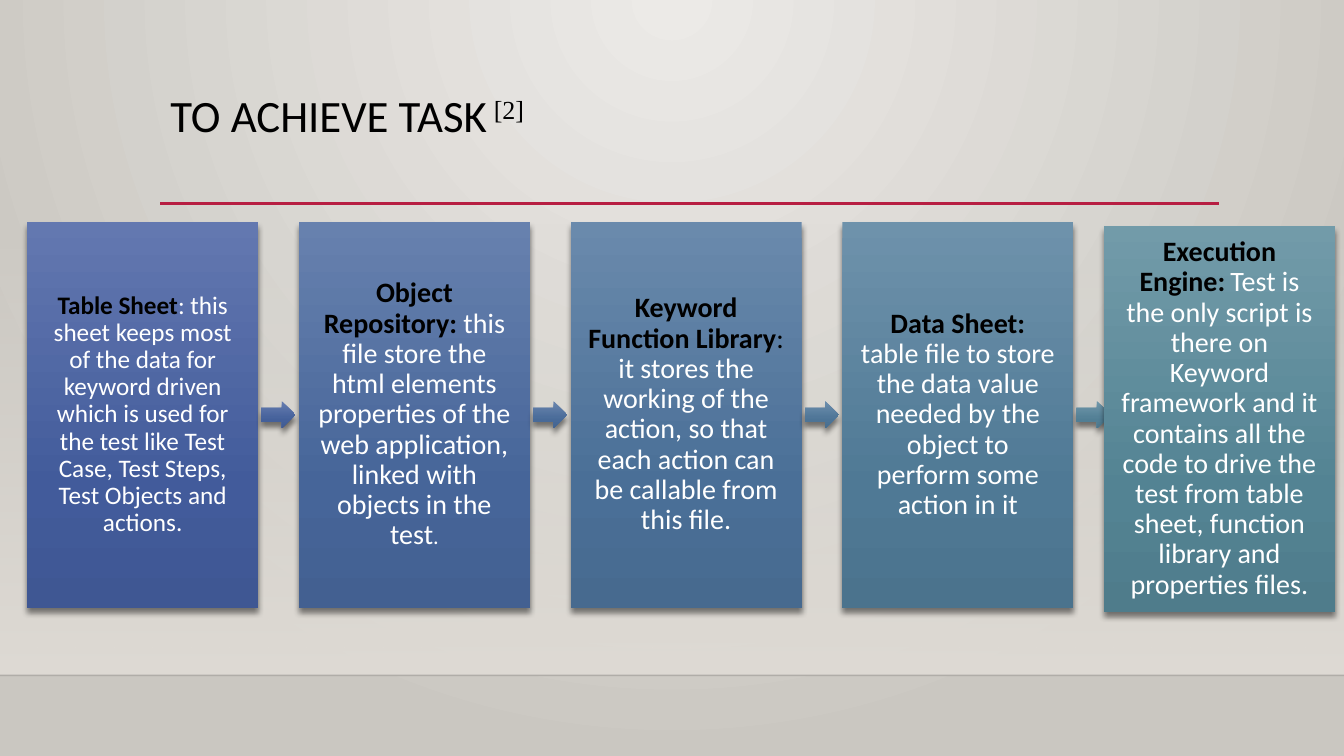
from dataclasses import dataclass

from lxml.etree import SubElement
from pptx import Presentation
from pptx.dml.color import RGBColor
from pptx.enum.shapes import MSO_CONNECTOR, MSO_SHAPE
from pptx.enum.text import MSO_ANCHOR, PP_ALIGN
from pptx.oxml.ns import qn
from pptx.util import Inches, Pt


@dataclass(frozen=True)
class Theme:
    """Colours, fonts and type sizes of the slide."""
    font: str = "Calibri"
    reference_font: str = "Times New Roman"
    title_size: int = 32
    body_size: int = 20
    compact_size: int = 18
    small_size: int = 16
    dark: str = "000000"
    light: str = "FFFFFF"
    accent: str = "B71E42"
    backdrop: tuple = ("ECEAE7", "CAC7C1")
    panel: str = "DFDBD5"
    first_card: tuple = ("6378B0", "425B9B", "3F5793")
    last_card: tuple = ("729BA9", "538393", "4F7C8B")
    card_stops: tuple = (0, 69, 100)


THEME = Theme()
WIDTH, HEIGHT = 13.33, 7.5
FLOOR = 6.7
CARD_WIDTH, CARD_HEIGHT = 2.29, 3.83
ARROW_WIDTH, ARROW_HEIGHT = 0.34, 0.27
PITCH, ARROW_OFFSET = 2.695, 2.32
LAST_SHIFT = (-0.1, 0.04)

BOLD = {"bold": True}
LIGHT = {"color": THEME.light}
SMALL = {"size": THEME.small_size}
COMPACT = {"size": THEME.compact_size}

CARDS = [
    [("Table Sheet", BOLD | COMPACT),
     (": this sheet keeps most of the data for keyword driven which is used for the test "
      "like Test Case, Test Steps, Test Objects and actions.", LIGHT | COMPACT)],
    [("Object Repository:", BOLD),
     (" this file store the html elements properties of the web application, "
      "linked with objects in the test", LIGHT),
     (".", LIGHT | SMALL)],
    [("Keyword Function Library", BOLD),
     (": ", {}),
     ("it stores the working of the action, so that each action can be callable "
      "from this file.", LIGHT)],
    [("Data Sheet: ", BOLD),
     ("table file to store the data value needed by the object to perform some "
      "action in it", LIGHT)],
    [("Execution Engine:", BOLD),
     (" ", BOLD | SMALL),
     ("Test is the only script is there on Keyword framework and it contains all the code "
      "to drive the test from table sheet, function library and properties files.", LIGHT)],
]


def add_text(paragraph, text, size=THEME.body_size, font=THEME.font, color=THEME.dark,
             bold=False, baseline=None):
    """Append a formatted run to a paragraph."""
    run = paragraph.add_run()
    run.text = text
    run.font.size = Pt(size)
    run.font.name = font
    run.font.bold = bold
    run.font.color.rgb = RGBColor.from_string(color)
    if baseline is not None:
        run.font._element.set("baseline", str(baseline * 1000))


def add_color(parent, color, alpha=100):
    """Add a colour element with an opacity in percent."""
    element = SubElement(parent, qn("a:srgbClr"), val=color)
    if alpha < 100:
        SubElement(element, qn("a:alpha"), val=str(alpha * 1000))


def set_gradient(owner, fill, stops, circle=None):
    """Fill with stops of position, colour and opacity, downwards or from a focus."""
    fill.gradient()
    gradient = owner.xpath(".//a:gradFill")[0]
    for child in list(gradient):
        gradient.remove(child)
    stop_list = SubElement(gradient, qn("a:gsLst"))
    for position, color, alpha in stops:
        stop = SubElement(stop_list, qn("a:gs"), pos=str(position * 1000))
        add_color(stop, color, alpha)
    if circle is None:
        SubElement(gradient, qn("a:lin"), ang="5400000", scaled="0")
    else:
        focus = SubElement(gradient, qn("a:path"), path="circle")
        sides = {side: str(share * 1000) for side, share in zip("ltrb", circle)}
        SubElement(focus, qn("a:fillToRect"), **sides)


def add_block(slide, kind, box, stops, shadow=True):
    """Add a borderless gradient shape, with a soft shadow below if wanted."""
    shape = slide.shapes.add_shape(kind, *map(Inches, box))
    set_gradient(shape.element, shape.fill, stops)
    shape.line.fill.background()
    shape.shadow.inherit = False
    if shadow:
        effects = shape.element.spPr.find(qn("a:effectLst"))
        outer = SubElement(effects, qn("a:outerShdw"), blurRad=str(Pt(4)), dist=str(Pt(4)),
                           dir="5400000", algn="ctr", rotWithShape="0")
        add_color(outer, THEME.dark, 48)
    return shape


def add_rule(slide, left, right, top, color, weight, alpha=100):
    """Draw a horizontal line."""
    rule = slide.shapes.add_connector(MSO_CONNECTOR.STRAIGHT, Inches(left), Inches(top),
                                      Inches(right), Inches(top))
    rule.line.width = Pt(weight)
    rule.line.color.rgb = RGBColor.from_string(color)
    if alpha < 100:
        swatch = rule.element.xpath(".//a:ln//a:srgbClr")[0]
        SubElement(swatch, qn("a:alpha"), val=str(alpha * 1000))
    SubElement(rule.element.spPr, qn("a:effectLst"))


def blend_stops(share):
    """Return card gradient stops at a share of the way from first to last card."""
    stops = []
    for position, start, end in zip(THEME.card_stops, THEME.first_card, THEME.last_card):
        channels = zip(bytes.fromhex(start), bytes.fromhex(end))
        color = "".join(f"{round(low + (high - low) * share):02X}" for low, high in channels)
        stops.append((position, color, 100))
    return stops


def add_backdrop(slide):
    """Paint the background, the panel and its floor line."""
    inner, outer = THEME.backdrop
    set_gradient(slide.element, slide.background.fill,
                 [(0, inner, 100), (100, outer, 100)], circle=(43, 0, 43, 100))
    top = 2.21
    add_block(slide, MSO_SHAPE.RECTANGLE, (0, top, WIDTH, FLOOR - top),
              [(0, THEME.panel, 0), (100, THEME.panel, 100)], shadow=False)
    add_rule(slide, 0, WIDTH, FLOOR, THEME.dark, 1, alpha=20)


def add_title(slide, left, top, width, height):
    """Place the title and the accent line at its foot."""
    title = slide.shapes.title
    title.left, title.top, title.width, title.height = map(Inches, (left, top, width, height))
    title.text_frame.vertical_anchor = MSO_ANCHOR.TOP
    paragraph = title.text_frame.paragraphs[0]
    paragraph.alignment = PP_ALIGN.LEFT
    paragraph.line_spacing = 0.9
    add_text(paragraph, "TO ACHIEVE TASK", size=THEME.title_size)
    add_text(paragraph, " [2]", size=THEME.title_size, font=THEME.reference_font, baseline=30)
    add_rule(slide, left, left + width, top + height, THEME.accent, 2.5)


def add_card(slide, left, top, runs, stops):
    """Place one step card with centred text."""
    card = add_block(slide, MSO_SHAPE.RECTANGLE, (left, top, CARD_WIDTH, CARD_HEIGHT), stops)
    frame = card.text_frame
    frame.word_wrap = True
    frame.vertical_anchor = MSO_ANCHOR.MIDDLE
    frame.margin_left = frame.margin_right = Inches(0.17)
    frame.margin_top = frame.margin_bottom = Inches(0.17)
    paragraph = frame.paragraphs[0]
    paragraph.alignment = PP_ALIGN.CENTER
    paragraph.line_spacing = 0.9
    for text, style in runs:
        add_text(paragraph, text, **style)


def add_process(slide, left, top):
    """Lay out the cards in a row with an arrow between neighbours."""
    last = len(CARDS) - 1
    for index, runs in enumerate(CARDS):
        shift_x, shift_y = LAST_SHIFT if index == last else (0, 0)
        card_left = left + index * PITCH
        add_card(slide, card_left + shift_x, top + shift_y, runs, blend_stops(index / last))
        if index < last:
            arrow_top = top + (CARD_HEIGHT - ARROW_HEIGHT) / 2
            add_block(slide, MSO_SHAPE.RIGHT_ARROW,
                      (card_left + ARROW_OFFSET, arrow_top, ARROW_WIDTH, ARROW_HEIGHT),
                      blend_stops((index + 0.5) / last))


def main():
    """Build and save the presentation."""
    presentation = Presentation()
    presentation.slide_width, presentation.slide_height = Inches(WIDTH), Inches(HEIGHT)
    slide = presentation.slides.add_slide(presentation.slide_layouts[5])
    add_backdrop(slide)
    add_title(slide, 1.59, 0.88, 10.5, 1.14)
    add_process(slide, 0.27, 2.2)
    presentation.save("out.pptx")


if __name__ == "__main__":
    main()
